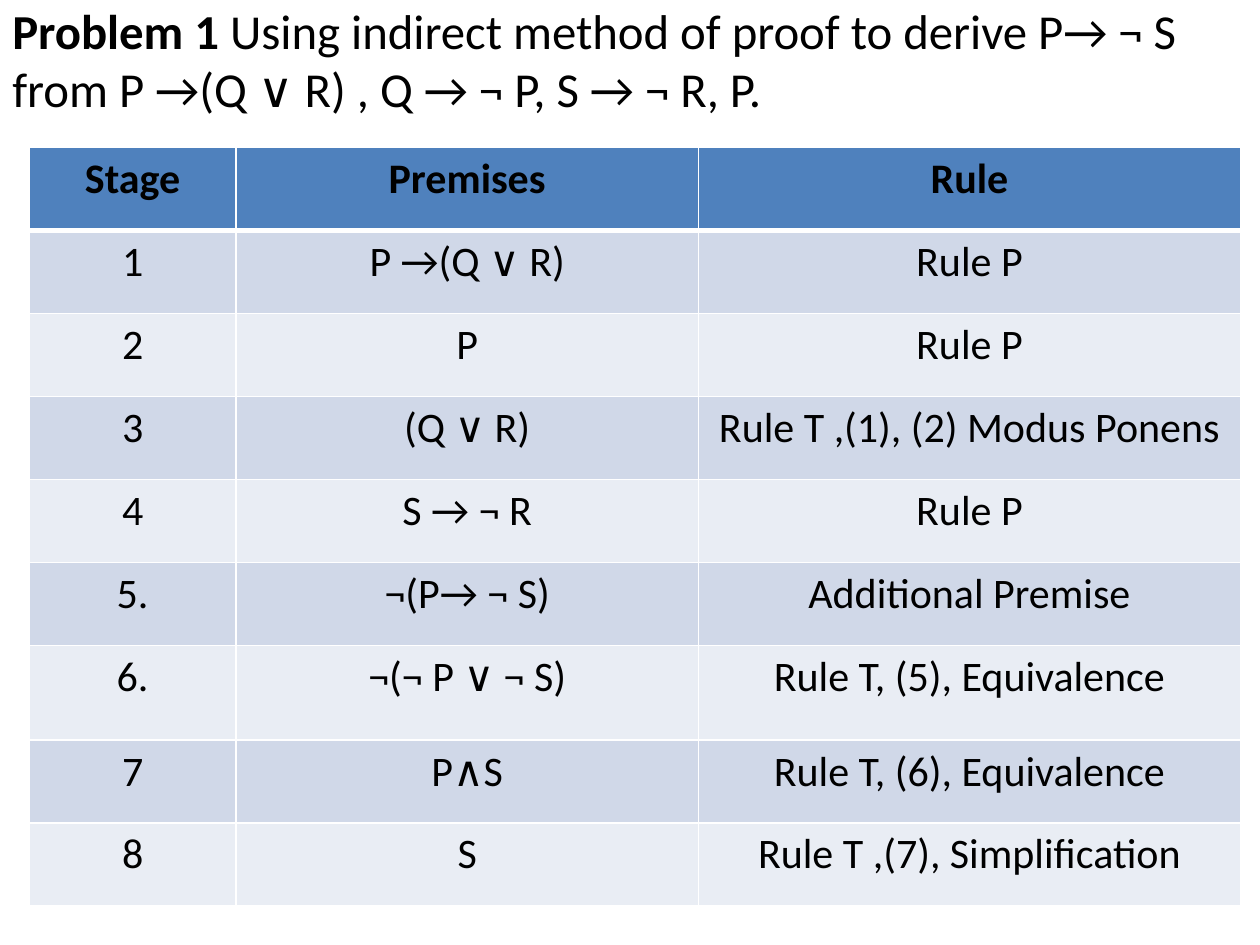
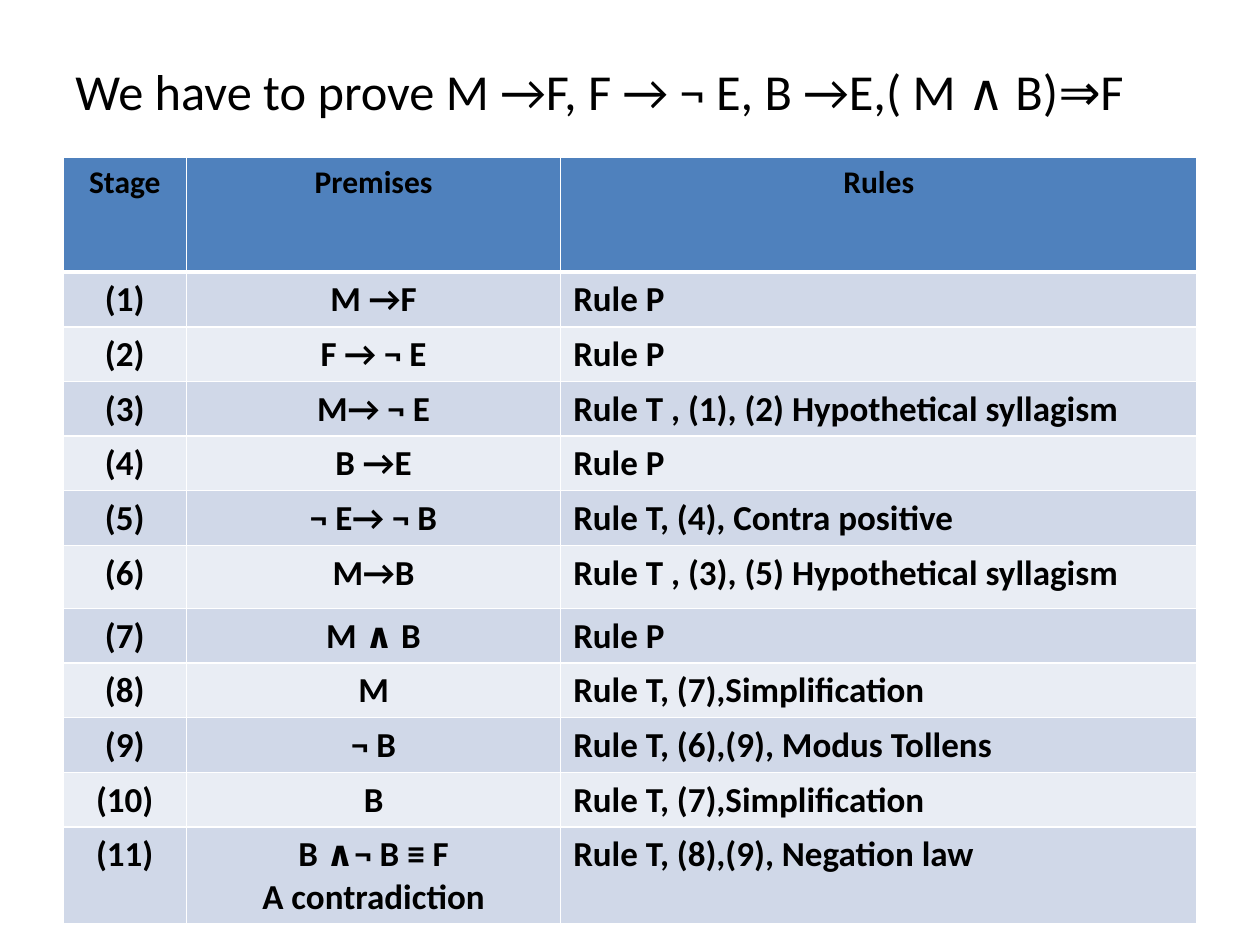
from pptx import Presentation
from pptx.dml.color import RGBColor
from pptx.enum.text import MSO_ANCHOR, PP_ALIGN
from pptx.oxml.ns import qn
from pptx.util import Pt
from lxml.etree import SubElement

PROBLEM_PROOF = [
    ("Stage", "Premises", "Rule"),
    ("1", "P →(Q ∨ R)", "Rule P"),
    ("2", "P", "Rule P"),
    ("3", "(Q ∨ R)", "Rule T ,(1), (2) Modus Ponens"),
    ("4", "S → ¬ R", "Rule P"),
    ("5.", "¬(P→ ¬ S)", "Additional Premise"),
    ("6.", "¬(¬ P ∨ ¬ S)", "Rule T, (5), Equivalence"),
    ("7", "P∧S", "Rule T, (6), Equivalence"),
    ("8", "S", "Rule T ,(7), Simplification"),
]

CONTRADICTION_PROOF = [
    ("Stage", "Premises", "Rules"),
    ("(1)", "M →F", "Rule P"),
    ("(2)", "F → ¬ E", "Rule P"),
    ("(3)", "M→ ¬ E", "Rule T , (1), (2) Hypothetical syllagism"),
    ("(4)", "B →E", "Rule P"),
    ("(5)", "¬ E→ ¬ B", "Rule T, (4), Contra positive"),
    ("(6)", "M→B", "Rule T , (3), (5) Hypothetical syllagism"),
    ("(7)", "M ∧ B", "Rule P"),
    ("(8)", "M", "Rule T, (7),Simplification"),
    ("(9)", "¬ B", "Rule T, (6),(9), Modus Tollens"),
    ("(10)", "B", "Rule T, (7),Simplification"),
    ("(11)", "B ∧¬ B ≡ F\nA contradiction", "Rule T, (8),(9), Negation law"),
]


def color(value):
    """Turn a hex string into a colour."""
    return RGBColor.from_string(value)


class ProofDeck:
    """Hold the shared style and the slide being filled."""

    font_name = "Calibri"
    text_color = "000000"
    border_color = "FFFFFF"
    header_fill = "4F81BD"
    band_fills = ("E9EDF4", "D0D8E8")

    def __init__(self):
        """Start a presentation of ten by seven and a half inches."""
        self.presentation = Presentation()
        self.presentation.slide_width = Pt(720)
        self.presentation.slide_height = Pt(540)
        self.slide = None

    def add_slide(self):
        """Add a blank slide and make it current."""
        self.slide = self.presentation.slides.add_slide(self.presentation.slide_layouts[6])

    def add_run(self, paragraph, text, size, bold=False):
        """Add one styled run to a paragraph."""
        run = paragraph.add_run()
        run.text = text
        run.font.name = self.font_name
        run.font.size = Pt(size)
        run.font.bold = bold
        run.font.color.rgb = color(self.text_color)

    def add_title(self, left, top, width, height, size, runs, bottom_inset=3.6):
        """Add a title made of text and bold pairs."""
        shape = self.slide.shapes.add_textbox(Pt(left), Pt(top), Pt(width), Pt(height))
        frame = shape.text_frame
        frame.word_wrap = True
        frame.vertical_anchor = MSO_ANCHOR.MIDDLE
        frame.margin_bottom = Pt(bottom_inset)
        for text, bold in runs:
            self.add_run(frame.paragraphs[0], text, size, bold)

    def add_borders(self, cell, row):
        """Draw cell borders, thick between header and body."""
        properties = cell._tc.get_or_add_tcPr()
        widths = {"L": 1, "R": 1, "T": 3 if row == 1 else 1, "B": 3 if row == 0 else 1}
        for side, width in widths.items():
            line = SubElement(properties, qn(f"a:ln{side}"), w=str(Pt(width)))
            fill = SubElement(line, qn("a:solidFill"))
            SubElement(fill, qn("a:srgbClr"), val=self.border_color)

    def fill_cell(self, cell, row, text, size, bold, alignment):
        """Give a cell its borders, band colour and text."""
        self.add_borders(cell, row)
        cell.fill.solid()
        cell.fill.fore_color.rgb = color(self.band_fills[row % 2] if row else self.header_fill)
        frame = cell.text_frame
        for index, line in enumerate(text.split("\n")):
            paragraph = frame.add_paragraph() if index else frame.paragraphs[0]
            paragraph.alignment = alignment
            self.add_run(paragraph, line, size, bold)

    def add_proof(self, left, top, widths, heights, proof, header_size, body_size,
                  body_bold=False, rule_alignment=PP_ALIGN.CENTER):
        """Add a proof table with a header row and banded steps."""
        frame = self.slide.shapes.add_table(
            len(proof), len(widths), Pt(left), Pt(top), Pt(sum(widths)), Pt(sum(heights)))
        table = frame.table
        table.first_row = table.horz_banding = False
        for column, width in zip(table.columns, widths):
            column.width = Pt(width)
        for row, (step, height) in enumerate(zip(proof, heights)):
            table.rows[row].height = Pt(height)
            size = body_size if row else header_size
            bold = body_bold or row == 0
            for column, text in enumerate(step):
                alignment = rule_alignment if row and column == 2 else PP_ALIGN.CENTER
                self.fill_cell(table.cell(row, column), row, text, size, bold, alignment)


def main():
    """Build both proof slides and save them."""
    deck = ProofDeck()

    deck.add_slide()
    deck.add_title(0, 0, 720, 67.7, 27.9, [
        ("Problem 1 ", True),
        ("Using indirect method of proof to derive P→ ¬ S from "
         "P →(Q ∨ R) , Q → ¬ P, S → ¬ R, P.", False),
    ])
    deck.add_proof(16.8, 84.4, [118, 264.4, 309.6], [47.4] * 6 + [54] + [47.4] * 2,
                   PROBLEM_PROOF, 24, 24)

    deck.add_slide()
    deck.add_title(36, 21.6, 648, 90, 28.8, [
        ("We have to prove M →F, F → ¬ E, B →E,( M ∧ B)⇒F", False),
    ], bottom_inset=34)
    deck.add_proof(36, 90, [70.6, 213.8, 363.6], [65.5] + [29.5] * 5 + [36] + [29.5] * 5,
                   CONTRADICTION_PROOF, 18, 20, True, PP_ALIGN.LEFT)

    deck.presentation.save("out.pptx")


if __name__ == "__main__":
    main()
